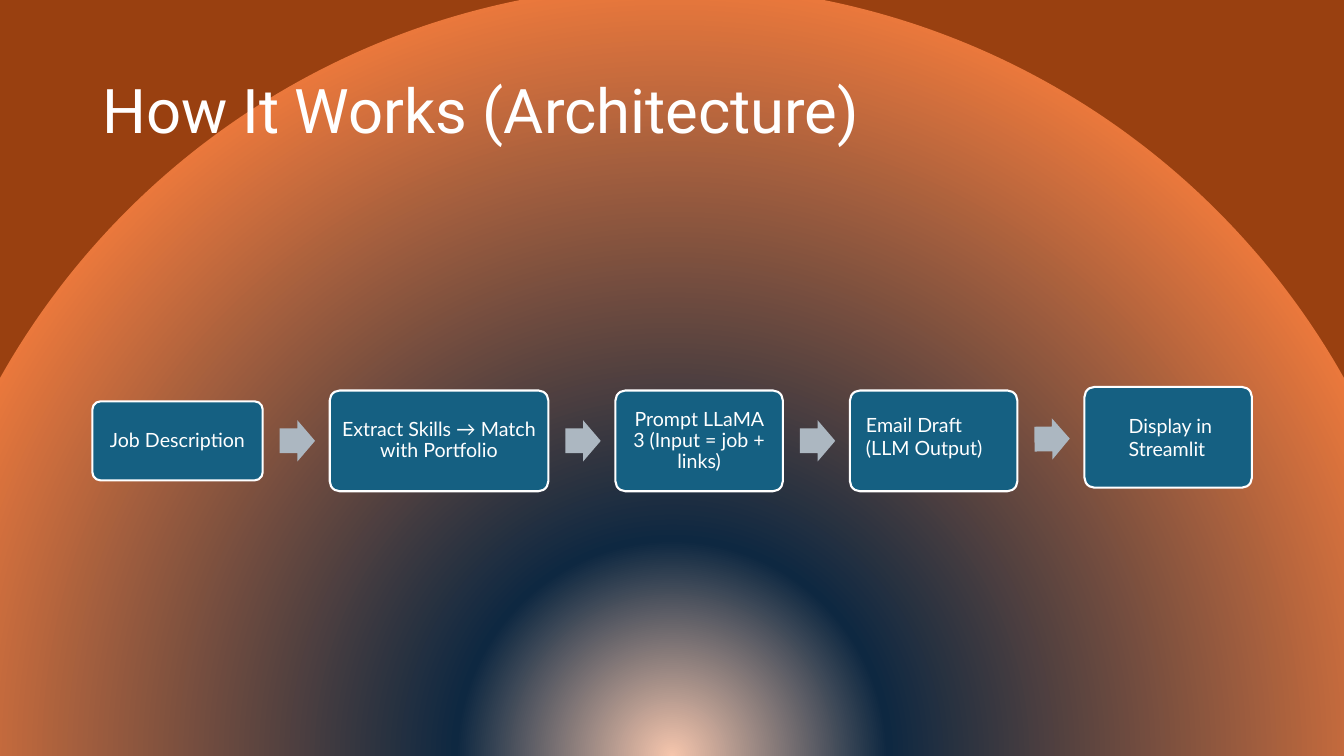
from pptx import Presentation
from pptx.dml.color import RGBColor
from pptx.enum.shapes import MSO_SHAPE
from pptx.enum.text import MSO_ANCHOR, PP_ALIGN
from pptx.oxml import parse_xml
from pptx.oxml.ns import nsdecls
from pptx.util import Cm, Pt

BOX, ARROW = MSO_SHAPE.ROUNDED_RECTANGLE, MSO_SHAPE.RIGHT_ARROW
LEFT, CENTER, MIDDLE = PP_ALIGN.LEFT, PP_ALIGN.CENTER, MSO_ANCHOR.MIDDLE

TITLE = "How It Works (Architecture)"
STEPS = [
    dict(text="Job Description", width=4.29, height=1.99),
    dict(text="Extract Skills → Match with Portfolio", width=5.51),
    dict(text="Prompt LLaMA 3 (Input = job + links)", width=4.22),
    dict(text="Email Draft (LLM Output)", width=4.22, align=LEFT,
         inset=0.33, bottom=0.45, spacing=1.0),
    dict(text="Display in Streamlit", width=4.22, align=LEFT,
         inset=1.04, spacing=1.0, middle=11.02, arrow_middle=11.06, arrow_turn=359.1),
]
GRADIENT = [(0, "F6C6AD"), (28, "0E2841"), (100, "EA783C"), (100, "994010")]
WHITE, BLUE, GREY = "FFFFFF", "156082", "ACB7C1"

FLOW_LEFT, FLOW_MIDDLE = 2.33, 11.11
BOX_HEIGHT, BOX_GAP, BOX_INSET = 2.54, 1.69, 0.22
ARROW_WIDTH, ARROW_HEIGHT, ARROW_OFFSET = 0.89, 1.04, 0.43


def color(value):
    return RGBColor.from_string(value)


def write(shape, text, font, size, align, spacing):
    frame = shape.text_frame
    frame.text = text
    frame.word_wrap = True
    frame.vertical_anchor = MIDDLE
    paragraph = frame.paragraphs[0]
    paragraph.alignment = align
    paragraph.line_spacing = spacing
    paragraph.font.name = font
    paragraph.font.size = Pt(size)
    paragraph.font.color.rgb = color(WHITE)


def add_block(slide, kind, left, middle, width, height, fill):
    shape = slide.shapes.add_shape(
        kind, Cm(left), Cm(middle - height / 2), Cm(width), Cm(height))
    shape.shadow.inherit = False
    shape.fill.solid()
    shape.fill.fore_color.rgb = color(fill)
    return shape


def add_step(slide, step, left):
    shape = add_block(slide, BOX, left, step.get("middle", FLOW_MIDDLE),
                      step["width"], step.get("height", BOX_HEIGHT), BLUE)
    shape.adjustments[0] = 0.1
    shape.line.color.rgb = color(WHITE)
    shape.line.width = Pt(1.5)
    frame = shape.text_frame
    frame.margin_left = Cm(step.get("inset", BOX_INSET))
    frame.margin_right = frame.margin_top = Cm(BOX_INSET)
    frame.margin_bottom = Cm(step.get("bottom", BOX_INSET))
    write(shape, step["text"], "Lato", 14, step.get("align", CENTER), step.get("spacing", 0.9))


def add_arrow(slide, step, left):
    arrow = add_block(slide, ARROW, left, step.get("arrow_middle", FLOW_MIDDLE),
                      ARROW_WIDTH, ARROW_HEIGHT, GREY)
    arrow.adjustments[0] = 0.6
    arrow.adjustments[1] = 0.5
    arrow.line.fill.background()
    arrow.rotation = step.get("arrow_turn", 0)


def paint_background(slide):
    slide.background.fill.solid()
    solid = slide.element.xpath("p:cSld/p:bg/p:bgPr/a:solidFill")[0]
    stops = "".join(
        f'<a:gs pos="{place * 1000}"><a:srgbClr val="{value}"/></a:gs>'
        for place, value in GRADIENT)
    gradient = parse_xml(
        f'<a:gradFill {nsdecls("a")} rotWithShape="1"><a:gsLst>{stops}</a:gsLst>'
        '<a:path path="circle"><a:fillToRect l="50000" t="130000" r="50000" b="-30000"/>'
        '</a:path></a:gradFill>')
    solid.getparent().replace(solid, gradient)


def main():
    presentation = Presentation()
    presentation.slide_width, presentation.slide_height = Cm(33.87), Cm(19.05)
    slide = presentation.slides.add_slide(presentation.slide_layouts[6])
    paint_background(slide)

    title = slide.shapes.add_textbox(Cm(2.33), Cm(1.01), Cm(29.21), Cm(3.68))
    write(title, TITLE, "Roboto", 44, LEFT, 0.9)

    left = FLOW_LEFT
    for index, step in enumerate(STEPS):
        if index:
            add_arrow(slide, step, left - BOX_GAP + ARROW_OFFSET)
        add_step(slide, step, left)
        left += step["width"] + BOX_GAP

    presentation.save("out.pptx")


if __name__ == "__main__":
    main()
